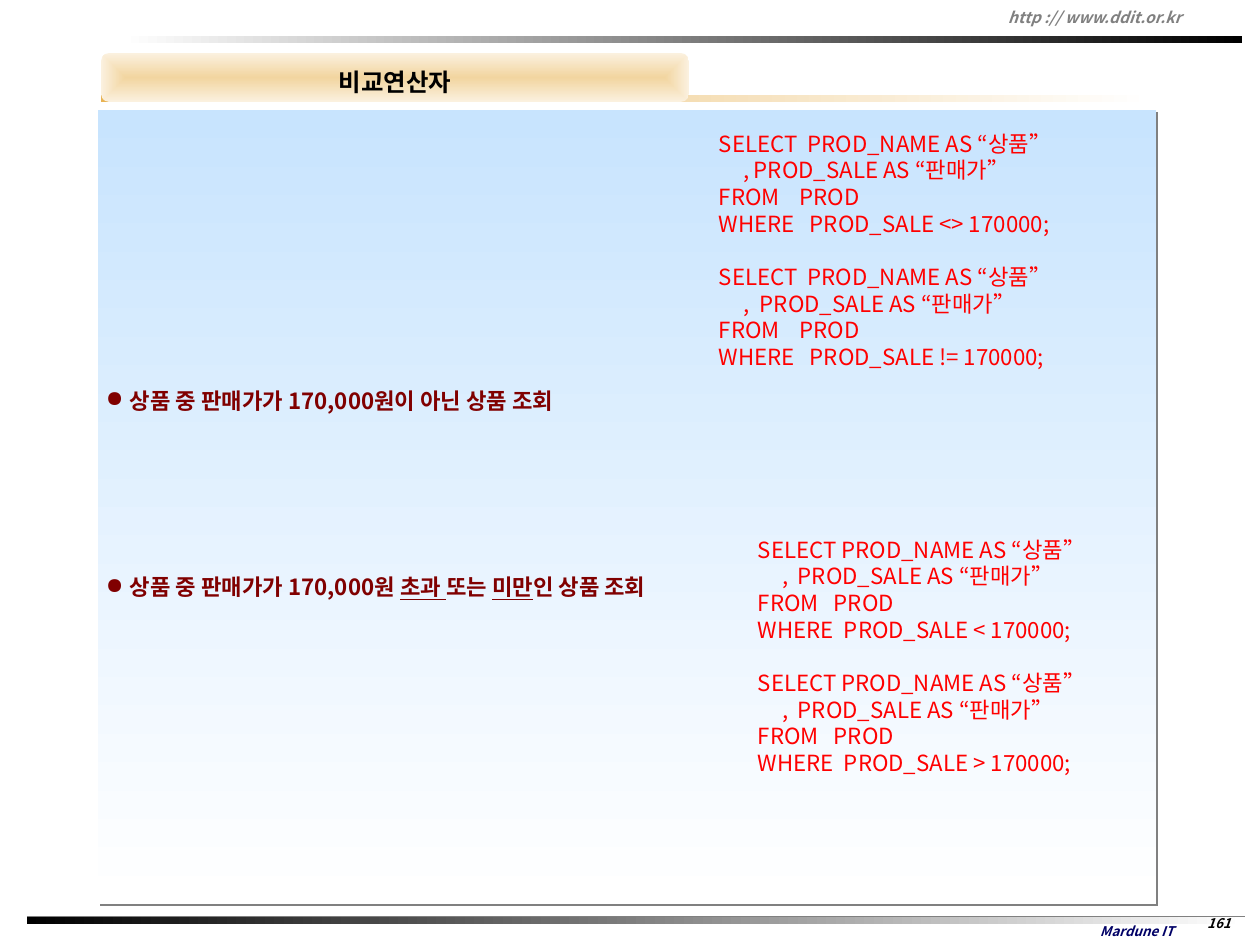
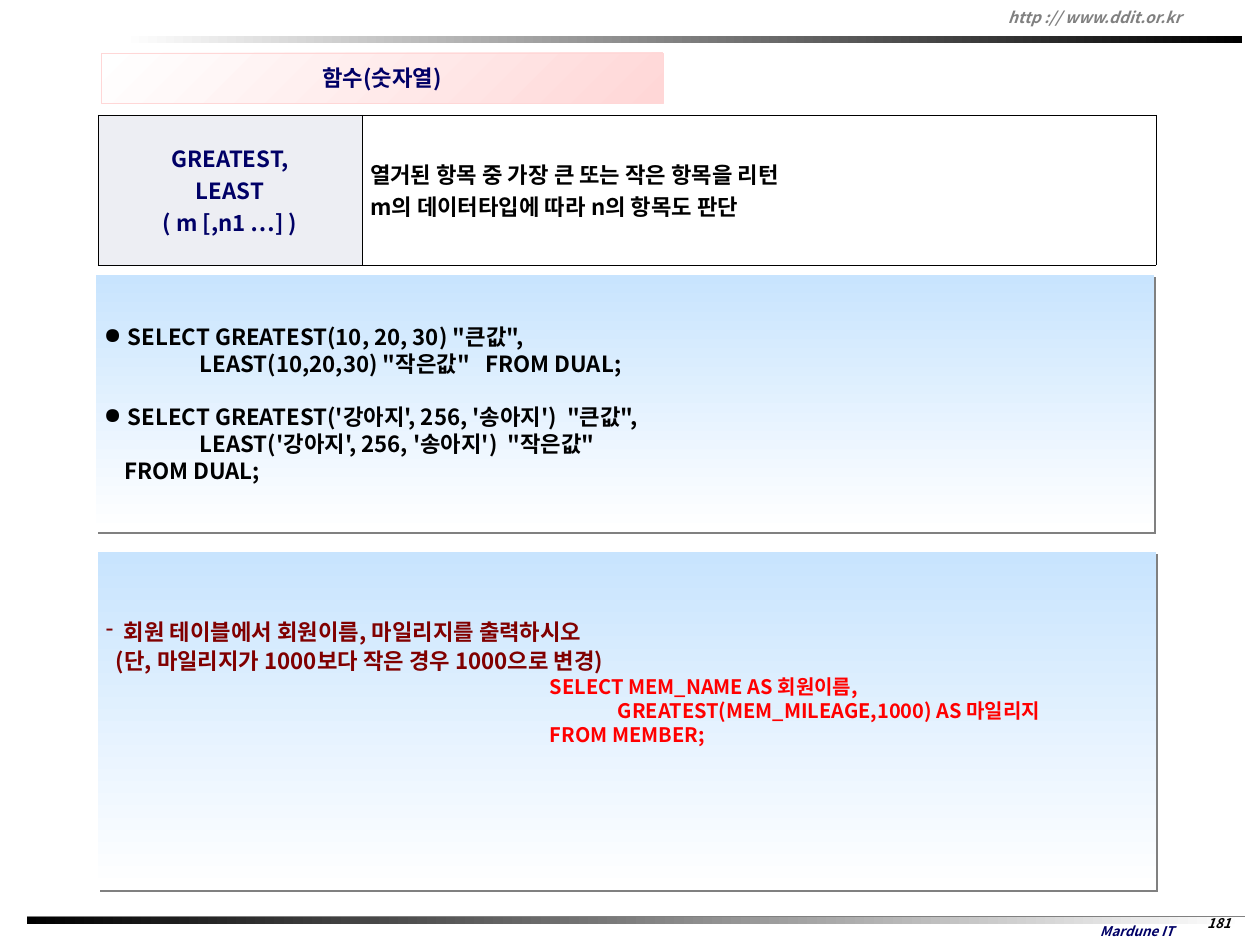
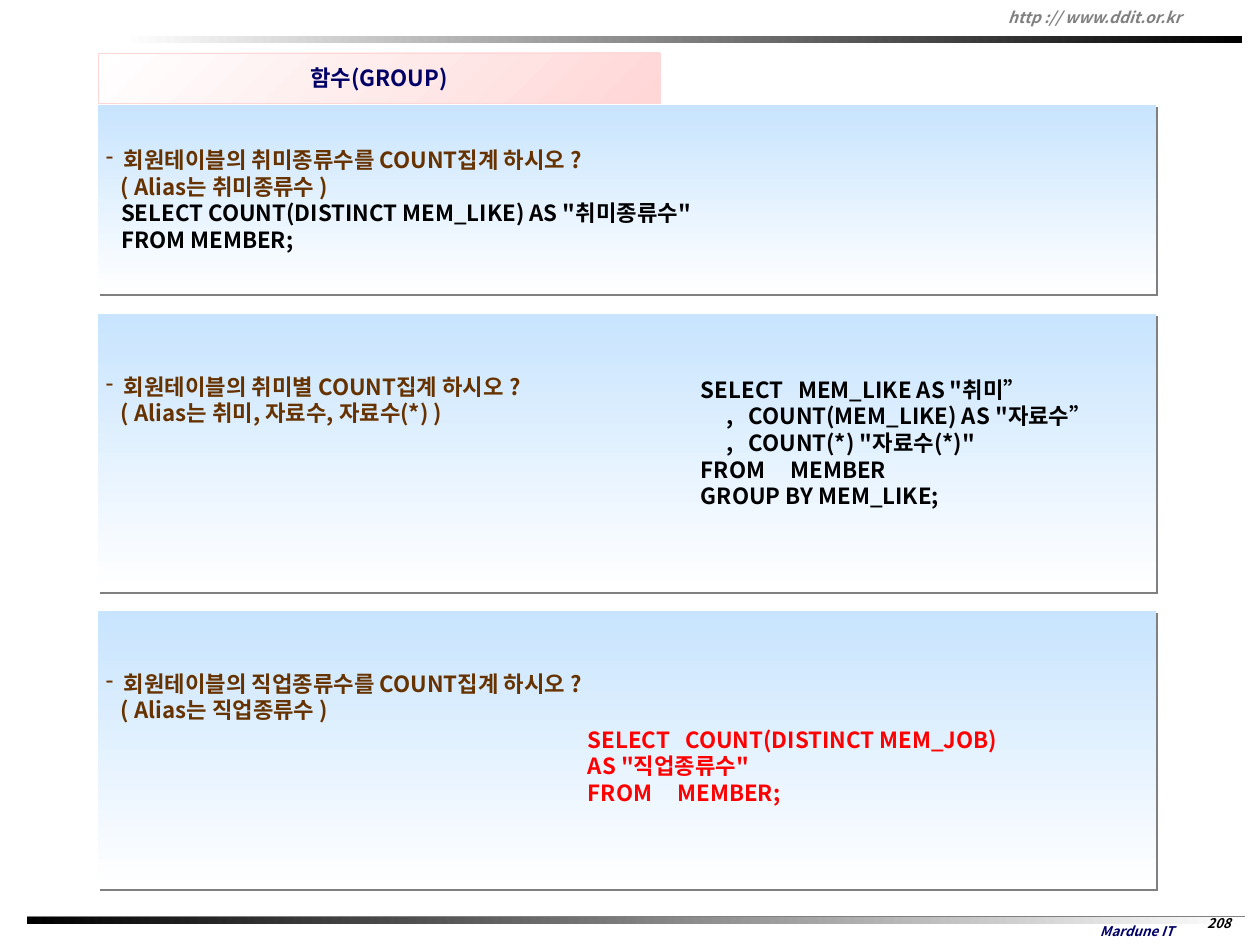
import pptx
import pptx.chart.data
import pptx.dml.color
import pptx.enum.shapes
import pptx.enum.text
import pptx.oxml
import pptx.oxml.ns
import pptx.util

RGBColor = pptx.dml.color.RGBColor
SHAPE = pptx.enum.shapes.MSO_SHAPE
ANCHOR = pptx.enum.text.MSO_ANCHOR
CENTER = pptx.enum.text.PP_ALIGN.CENTER

# Colours
BLACK = RGBColor(0x00, 0x00, 0x00)
WHITE = RGBColor(0xFF, 0xFF, 0xFF)
GRAY = RGBColor(0x80, 0x80, 0x80)
NAVY = RGBColor(0x00, 0x00, 0x66)
RED = RGBColor(0xFF, 0x00, 0x00)
MAROON = RGBColor(0x80, 0x00, 0x00)
BROWN = RGBColor(0x66, 0x33, 0x00)
SKY = RGBColor(0xC8, 0xE4, 0xFE)
PINK = RGBColor(0xFF, 0xD7, 0xD7)
GOLD = RGBColor(0xE8, 0xB3, 0x54)
SAND = RGBColor(0xF2, 0xD5, 0xA0)
CREAM = RGBColor(0xFB, 0xF1, 0xDF)
PALE = RGBColor(0xED, 0xEE, 0xF3)

# Shared measures and text styles
FONT = "Noto Sans CJK KR"
PX = 11430  # EMU in one px, 80 px to the inch
PAGE_SIZE = (1260, 945)
PANEL_LEFT, PANEL_WIDTH = 98, 1058
BLANK_LINE = 24  # points
CODE_TAB = 48
FOOTER = {"size": 12, "bold": True, "italic": True, "color": NAVY}
HEADER = FOOTER | {"size": 14, "color": GRAY}
NUMBER = FOOTER | {"color": BLACK}
HEADING = {"size": 20, "bold": True, "color": NAVY}
BODY = HEADING | {"color": BLACK}
TASK = HEADING | {"color": MAROON}
QUESTION = HEADING | {"color": BROWN}
ANSWER = HEADING | {"color": RED}
PLAIN_ANSWER = ANSWER | {"bold": False}
SMALL_ANSWER = ANSWER | {"size": 18}

# Paragraph formats
DOT = {"bullet": "●", "indent": 24, "hang": 24}
DASH = {"bullet": "-", "indent": 18, "hang": 18}
NOTE = {"indent": 15}
TAB = {"tab": CODE_TAB}
NEXT_QUERY = {"space_before": pptx.util.Pt(BLANK_LINE)}


def px(*lengths):
    return [pptx.util.Emu(length * PX) for length in lengths]


def xml(text):
    return pptx.oxml.parse_xml(text.replace(" ", f" {pptx.oxml.ns.nsdecls('a')} ", 1))


# Text
def style_font(font, style):
    values = style | {"size": pptx.util.Pt(style["size"]), "name": FONT}
    font.color.rgb = values.pop("color")
    for name, value in values.items():
        setattr(font, name, value)


def format_para(para, layout):
    values = dict(layout)
    properties = para._p.get_or_add_pPr()
    properties.set("marL", str(values.pop("indent", 0) * PX))
    properties.set("indent", str(-values.pop("hang", 0) * PX))
    if "bullet" in values:
        properties.append(xml(f'<a:buChar char="{values.pop("bullet")}"/>'))
    if "tab" in values:
        stop = values.pop("tab") * PX
        properties.append(xml(f'<a:tabLst ><a:tab pos="{stop}" algn="l"/></a:tabLst>'))
    for name, value in values.items():
        setattr(para, name, value)


def write(frame, lines, style, **shared):
    """Each line is a text, or a pair of text or runs and its own format."""
    for index, line in enumerate(lines):
        content, layout = (line, {}) if isinstance(line, str) else line
        layout = shared | layout
        line_style = layout.pop("style", style)
        para = frame.add_paragraph() if index else frame.paragraphs[0]
        format_para(para, layout)
        runs = [(content, {})] if isinstance(content, str) else content
        for text, extra in runs:
            span = para.add_run()
            span.text = text
            style_font(span.font, line_style | extra)
            latin = span.font._element.find(pptx.oxml.ns.qn("a:latin"))
            latin.addnext(xml(f'<a:ea typeface="{FONT}"/>'))


def set_frame(frame, anchor, top=4, bottom=4):
    frame.word_wrap = True
    frame.vertical_anchor = anchor
    frame.margin_left, frame.margin_right = px(8, 8)
    frame.margin_top, frame.margin_bottom = px(top, bottom)


def add_text(page, at, lines, style, anchor=ANCHOR.TOP, **shared):
    box = page.shapes.add_textbox(*px(*at))
    set_frame(box.text_frame, anchor)
    write(box.text_frame, lines, style, **shared)
    return box


# Shapes
def add_gradient(page, at, colors, angle=0, kind=SHAPE.RECTANGLE):
    shape = page.shapes.add_shape(kind, *px(*at))
    shape.shadow.inherit = False
    shape.line.fill.background()
    shape.fill.gradient()
    shape.fill.gradient_angle = -angle % 360
    for stop, color, position in zip(shape.fill.gradient_stops, colors, (0, 1)):
        stop.color.rgb = color
        stop.position = position
    return shape


def add_panel(page, top, height, lines, style, text_top=None, left=PANEL_LEFT):
    panel = add_gradient(page, (left, top, PANEL_WIDTH, height), (SKY, WHITE), 90)
    effects = panel._element.spPr.find(pptx.oxml.ns.qn("a:effectLst"))
    effects.append(xml(
        '<a:outerShdw blurRad="0" dist="35560" dir="2700000" algn="tl" rotWithShape="0">'
        f'<a:srgbClr val="{GRAY}"/></a:outerShdw>'))
    if text_top is None:
        set_frame(panel.text_frame, ANCHOR.MIDDLE, 7, 7)
    else:
        set_frame(panel.text_frame, ANCHOR.TOP, text_top)
    write(panel.text_frame, lines, style, alignment=pptx.enum.text.PP_ALIGN.LEFT)


def add_pink_title(page, left, text):
    title = add_gradient(page, (left, 53, 562, 50), (WHITE, PINK), 45)
    title.line.color.rgb = PINK
    title.line.width = pptx.util.Pt(0.75)
    set_frame(title.text_frame, ANCHOR.MIDDLE)
    write(title.text_frame, [text], HEADING, alignment=CENTER)


def add_gold_title(page, text):
    add_gradient(page, (101, 95, 1050, 7), (GOLD, WHITE))
    title = add_gradient(page, (101, 53, 588, 49), (SAND, CREAM),
                         kind=SHAPE.ROUNDED_RECTANGLE)
    title.adjustments[0] = 0.17
    linear = title._element.spPr.find(".//" + pptx.oxml.ns.qn("a:lin"))
    linear.getparent().replace(linear, xml(
        '<a:path path="shape"><a:fillToRect l="50000" t="50000" r="50000" b="50000"/></a:path>'))
    set_frame(title.text_frame, ANCHOR.MIDDLE)
    write(title.text_frame, [text], BODY | {"size": 22}, alignment=CENTER, line_spacing=1.3)


def add_syntax_table(page, at, widths, cells):
    table = page.shapes.add_table(1, len(cells), *px(*at)).table
    table.first_row = table.horz_banding = False
    for column, width in enumerate(widths):
        table.columns[column].width = px(width)[0]
        cell = table.cell(0, column)
        lines, style, color, layout = cells[column]
        cell.vertical_anchor = ANCHOR.MIDDLE
        cell.fill.solid()
        cell.fill.fore_color.rgb = color
        write(cell.text_frame, lines, style, **layout)
        for index, side in enumerate("LRTB"):
            cell._tc.get_or_add_tcPr().insert(index, xml(
                f'<a:ln{side} w="3175"><a:solidFill><a:srgbClr val="{BLACK}"/>'
                f'</a:solidFill></a:ln{side}>'))


# Bands, header and footer of every slide
def add_page(deck, number):
    page = deck.slides.add_slide(deck.slide_layouts[6])
    rule = page.shapes.add_connector(
        pptx.enum.shapes.MSO_CONNECTOR.STRAIGHT, *px(27, 917, 1245, 917))
    rule.line.color.rgb = GRAY
    rule.line.width = pptx.util.Pt(1.5)
    rule._element.spPr.append(xml("<a:effectLst />"))
    add_gradient(page, (27, 917, 1218, 7), (BLACK, WHITE))
    add_text(page, (1061, 918, 152, 26), ["Mardune IT"], FOOTER, ANCHOR.MIDDLE,
             alignment=CENTER)
    add_gradient(page, (122, 36, 1120, 7), (WHITE, BLACK))
    add_text(page, (1000, 2, 257, 30), ["http :// www.ddit.or.kr"], HEADER, ANCHOR.MIDDLE)
    add_text(page, (1194, 911, 50, 25), [str(number)], NUMBER, alignment=CENTER)
    return page


# Slides
def add_comparison_slide(deck):
    page = add_page(deck, 161)
    underlined = {"underline": True}
    add_panel(page, 110, 794, [
        ("상품 중 판매가가 170,000원이 아닌 상품 조회", DOT),
        ([("상품 중 판매가가 170,000원 ", {}), ("초과 ", underlined), ("또는 ", {}),
          ("미만", underlined), ("인 상품 조회", {})],
         DOT | {"space_before": pptx.util.Pt(6 * BLANK_LINE)}),
    ], TASK, text_top=277)
    add_gold_title(page, "비교연산자")
    add_text(page, (706, 126, 410, 250), [
        " SELECT  PROD_NAME AS “상품”",
        ("      ,\tPROD_SALE AS “판매가”", TAB),
        " FROM    PROD",
        " WHERE   PROD_SALE <> 170000;",
        (" SELECT  PROD_NAME AS “상품”", NEXT_QUERY),
        "      ,  PROD_SALE AS “판매가”",
        " FROM    PROD",
        " WHERE   PROD_SALE != 170000;",
    ], PLAIN_ANSWER)
    queries = []
    for operator, layout in (("<", {}), (">", NEXT_QUERY)):
        queries += [
            ("SELECT PROD_NAME AS “상품”", layout),
            ("     ,\tPROD_SALE AS “판매가”", TAB),
            "FROM   PROD",
            f"WHERE  PROD_SALE {operator} 170000;",
        ]
    add_text(page, (750, 532, 349, 278), queries, PLAIN_ANSWER)


def add_greatest_slide(deck):
    page = add_page(deck, 181)
    add_pink_title(page, 101, "함수(숫자열)")
    add_panel(page, 552, 338, [
        ("회원 테이블에서 회원이름, 마일리지를 출력하시오", DASH | {"line_spacing": 0.9}),
        ("(단, 마일리지가 1000보다 작은 경우 1000으로 변경)",
         {"indent": 10, "line_spacing": 1.1}),
    ], TASK, text_top=69)
    add_syntax_table(page, (98, 115, 1058, 150), (264, 794), [
        (["GREATEST,", "LEAST", "( m [,n1 …] )"], HEADING, PALE, {"alignment": CENTER}),
        (["열거된 항목 중 가장 큰 또는 작은 항목을 리턴",
          "m의 데이터타입에 따라 n의 항목도 판단"], BODY, WHITE, {}),
    ])
    add_panel(page, 275, 257, [
        ('SELECT GREATEST(10, 20, 30) "큰값",', DOT),
        '                   LEAST(10,20,30) "작은값"   FROM DUAL;',
        ("SELECT GREATEST('강아지', 256, '송아지')  \"큰값\",", DOT | NEXT_QUERY),
        "                   LEAST('강아지', 256, '송아지')  \"작은값\"",
        "    FROM DUAL;",
    ], BODY, left=96)
    add_text(page, (542, 671, 558, 81), [
        "SELECT MEM_NAME AS 회원이름,",
        "               GREATEST(MEM_MILEAGE,1000) AS 마일리지",
        "FROM MEMBER;",
    ], SMALL_ANSWER)


def add_group_slide(deck):
    page = add_page(deck, 208)
    code = {"style": BODY}
    add_panel(page, 105, 189, [
        ("회원테이블의 취미종류수를 COUNT집계 하시오 ?", DASH),
        ("( Alias는 취미종류수 )", NOTE),
        ('   SELECT COUNT(DISTINCT MEM_LIKE) AS "취미종류수"', code),
        ("   FROM MEMBER;", code),
    ], QUESTION)
    for top, subject, alias in (
            (314, "취미별", "취미, 자료수, 자료수(*)"),
            (611, "직업종류수를", "직업종류수")):
        add_panel(page, top, 278, [
            (f"회원테이블의 {subject} COUNT집계 하시오 ?", DASH),
            (f"( Alias는 {alias} )", NOTE),
        ], QUESTION, text_top=59)
    add_pink_title(page, 98, "함수(GROUP)")
    add_text(page, (693, 372, 438, 142), [
        'SELECT   MEM_LIKE AS "취미”',
        '     ,   COUNT(MEM_LIKE) AS "자료수”',
        '     ,   COUNT(*) "자료수(*)"',
        "FROM     MEMBER",
        "GROUP BY MEM_LIKE;",
    ], BODY)
    add_text(page, (580, 722, 550, 88), [
        'SELECT   COUNT(DISTINCT MEM_JOB) AS "직업종류수"',
        "FROM     MEMBER;",
    ], ANSWER)


def main():
    deck = pptx.Presentation()
    deck.slide_width, deck.slide_height = px(*PAGE_SIZE)
    add_comparison_slide(deck)
    add_greatest_slide(deck)
    add_group_slide(deck)
    deck.save("out.pptx")


if __name__ == "__main__":
    main()
